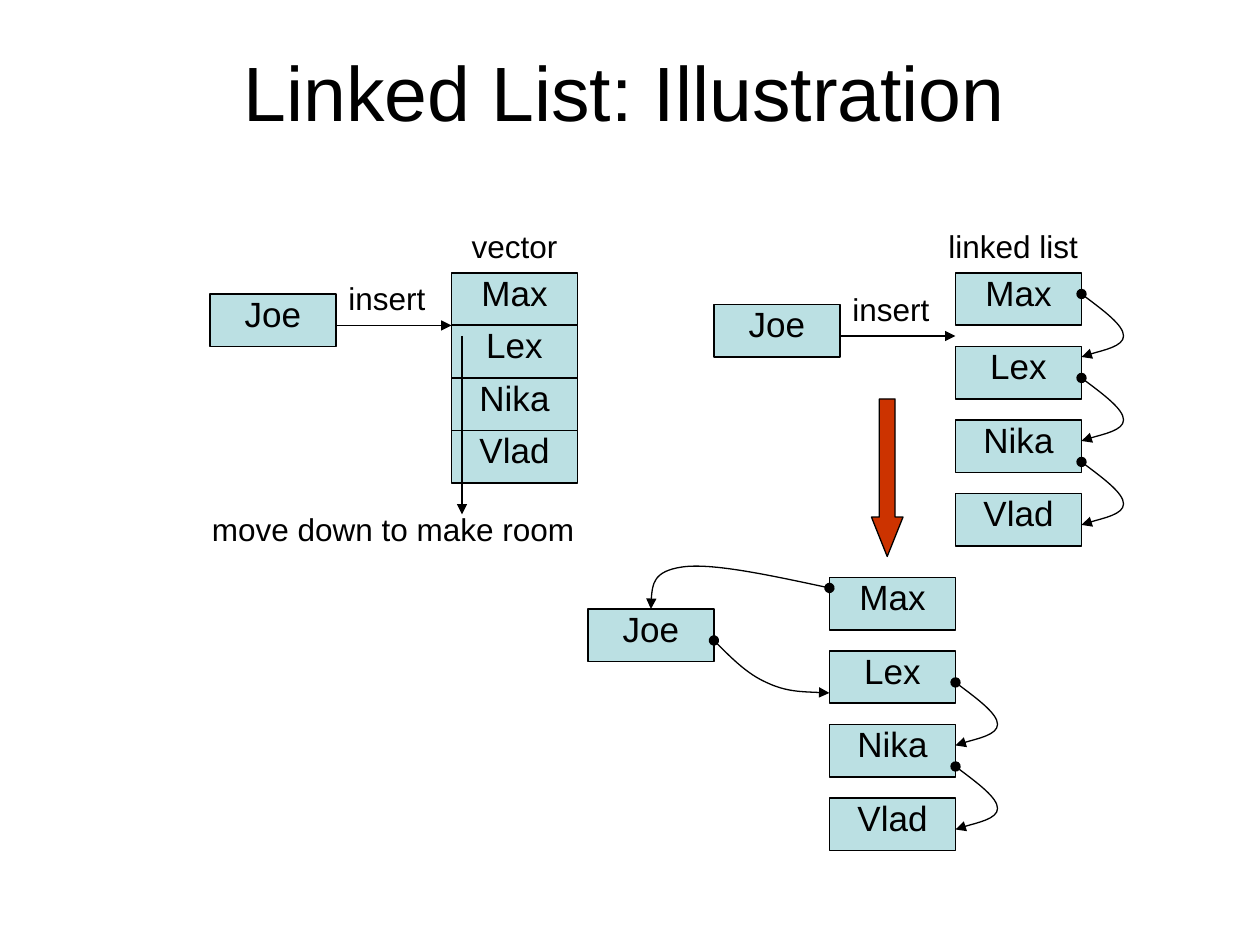
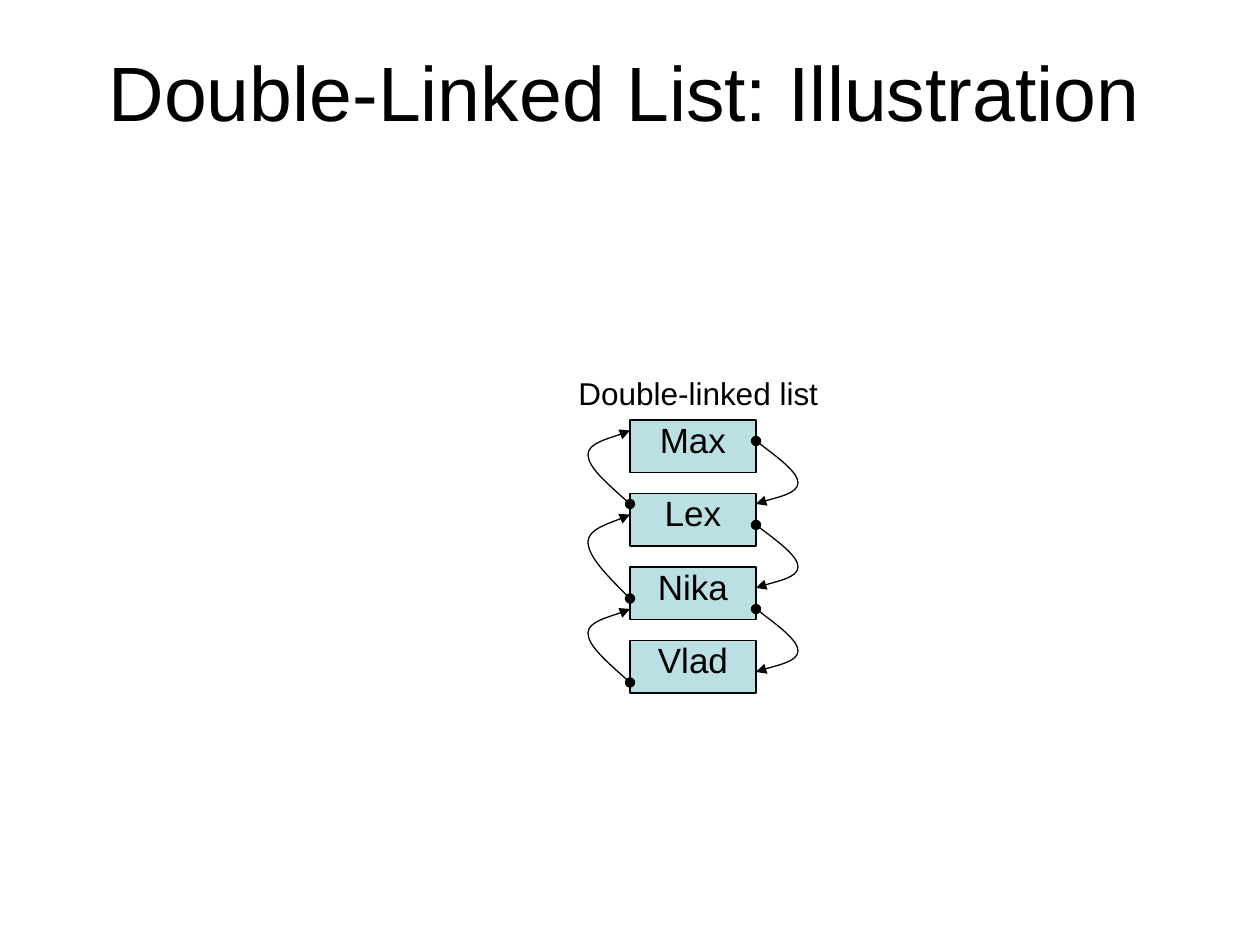
from pptx import Presentation
from pptx.dml.color import RGBColor as Rgb
from pptx.enum.shapes import MSO_CONNECTOR as Conn, MSO_SHAPE as Shape
from pptx.enum.text import MSO_ANCHOR as Anchor, MSO_AUTO_SIZE as Fit, PP_ALIGN as Align
from pptx.oxml.ns import qn
from pptx.util import Pt
from lxml.etree import SubElement as Sub

PX = 7620  # EMU per px: 120 px to the inch
HUES = {"ink": "000000", "box": "BBE0E3", "arrow": "CC3300"}
FONT = "Arial"
BOX_W, BOX_H = 120, 50
NAMES = ["Max", "Lex", "Nika", "Vlad"]
TITLE = {"left": 20, "top": -10, "width": 1150, "height": 193}
# Share of a link's width and height reached at each curve point
BEND = [(0.5, 0.25), (1, 0.5), (1, 0.67), (1, 0.83), (0.17, 0.95), (0, 1)]


def hue(name):
    return Rgb.from_string(HUES[name])


def put(obj, vals):
    for key, val in vals.items():
        setattr(obj, key, val)


class Deck:
    def __init__(self):
        self.prs = Presentation()
        put(self.prs, {"slide_width": 1200 * PX, "slide_height": 900 * PX})
        self.slide = None

    def page(self, text):
        self.slide = self.prs.slides.add_slide(self.prs.slide_layouts[5])
        title = self.slide.shapes.title
        put(title, {key: val * PX for key, val in TITLE.items()})
        self.words(title, text, 44, anchor=Anchor.MIDDLE)

    def words(self, shape, text, size, align=Align.CENTER, anchor=Anchor.TOP, lead=1.0):
        frame = shape.text_frame
        put(frame, {"text": text, "word_wrap": True, "auto_size": Fit.NONE,
                    "vertical_anchor": anchor})
        para = frame.paragraphs[0]
        put(para, {"alignment": align, "line_spacing": lead})
        put(para.font, {"name": FONT, "size": Pt(size)})
        para.font.color.rgb = hue("ink")

    def stroke(self, shape, width, head=None, tail=None):
        shape.line.color.rgb = hue("ink")
        shape.line.width = Pt(width)
        ends = shape._element.spPr.find(qn("a:ln"))
        for tag, kind in (("a:headEnd", head), ("a:tailEnd", tail)):
            if kind:
                Sub(ends, qn(tag), type=kind)

    def solid(self, kind, x, y, w, h, fill, width):
        shape = self.slide.shapes.add_shape(kind, x * PX, y * PX, w * PX, h * PX)
        shape.shadow.inherit = False
        shape.fill.solid()
        shape.fill.fore_color.rgb = hue(fill)
        self.stroke(shape, width)
        return shape

    def box(self, text, x, y):
        shape = self.solid(Shape.RECTANGLE, x, y, BOX_W, BOX_H, "box", 1)
        self.words(shape, text, 20, lead=0.8)

    def stack(self, x, y, step):
        """Draw the four names as a column of boxes."""
        for i, name in enumerate(NAMES):
            self.box(name, x, y + i * step)

    def label(self, text, x, y, w, align=Align.CENTER):
        shape = self.slide.shapes.add_textbox(x * PX, y * PX, w * PX, 48 * PX)
        self.words(shape, text, 18, align)

    def arrow(self, x1, y1, x2, y2):
        line = self.slide.shapes.add_connector(
            Conn.STRAIGHT, x1 * PX, y1 * PX, x2 * PX, y2 * PX)
        self.stroke(line, 0.75, tail="triangle")
        Sub(line._element.spPr, qn("a:effectLst"))

    def curve(self, start, points):
        """Draw an open line of cubic curves, three points to each."""
        form = self.slide.shapes.build_freeform(*start, scale=PX)
        form.add_line_segments(points, close=False)
        shape = form.convert_to_shape()
        route = next(shape._element.iter(qn("a:path")))
        steps = route.findall(qn("a:lnTo"))
        for i in range(0, len(steps), 3):
            cubic = Sub(route, qn("a:cubicBezTo"))
            for step in steps[i:i + 3]:
                cubic.append(step[0])
                route.remove(step)
        shape.fill.background()
        shape.shadow.inherit = False
        self.stroke(shape, 0.75, "oval", "triangle")

    def link(self, x, y, dx, dy):
        """Draw a loop that leaves a box side and comes back dy further on."""
        self.curve((x, y), [(round(x + dx * u), round(y + dy * v)) for u, v in BEND])

    def chain(self, x, y, first=0):
        """Link each box of the stack at x, y to the next one."""
        for i in range(first, 3):
            self.link(x + BOX_W, y + 20 + 80 * i, 40, 60)


def linked(deck):
    deck.page("Linked List: Illustration")

    deck.stack(430, 260, BOX_H)
    deck.box("Joe", 200, 280)
    deck.arrow(320, 310, 430, 310)
    deck.label("insert", 320, 260, 100, Align.LEFT)
    deck.arrow(440, 320, 440, 490)
    deck.label("move down to make room", 190, 480, 370, Align.LEFT)
    deck.label("vector", 430, 210, 120)

    deck.stack(910, 260, 70)
    deck.box("Joe", 680, 290)
    deck.arrow(800, 320, 910, 320)
    deck.label("insert", 800, 270, 100, Align.LEFT)
    deck.label("linked list", 880, 210, 170)
    deck.chain(910, 260)

    deck.stack(790, 550, 70)
    deck.box("Joe", 560, 580)
    deck.chain(790, 550, first=1)
    deck.curve((790, 560), [(734, 548), (678, 536), (650, 540),
                            (622, 544), (620, 562), (620, 580)])
    deck.curve((680, 610), [(696, 626), (712, 642), (730, 650),
                            (749, 659), (769, 659), (790, 660)])

    down = deck.solid(Shape.DOWN_ARROW, 830, 380, 30, 150, "arrow", 0.75)
    down.adjustments[0], down.adjustments[1] = 0.5, 1.25


def double(deck):
    deck.page("Double-Linked List: Illustration")
    deck.stack(600, 400, 70)
    deck.label("Double-linked list", 490, 350, 350)
    deck.chain(600, 400)
    for start, end in ((480, 410), (570, 490), (650, 580)):
        deck.link(600, start, -40, end - start)


def main():
    deck = Deck()
    linked(deck)
    double(deck)
    deck.prs.save("out.pptx")


if __name__ == "__main__":
    main()
